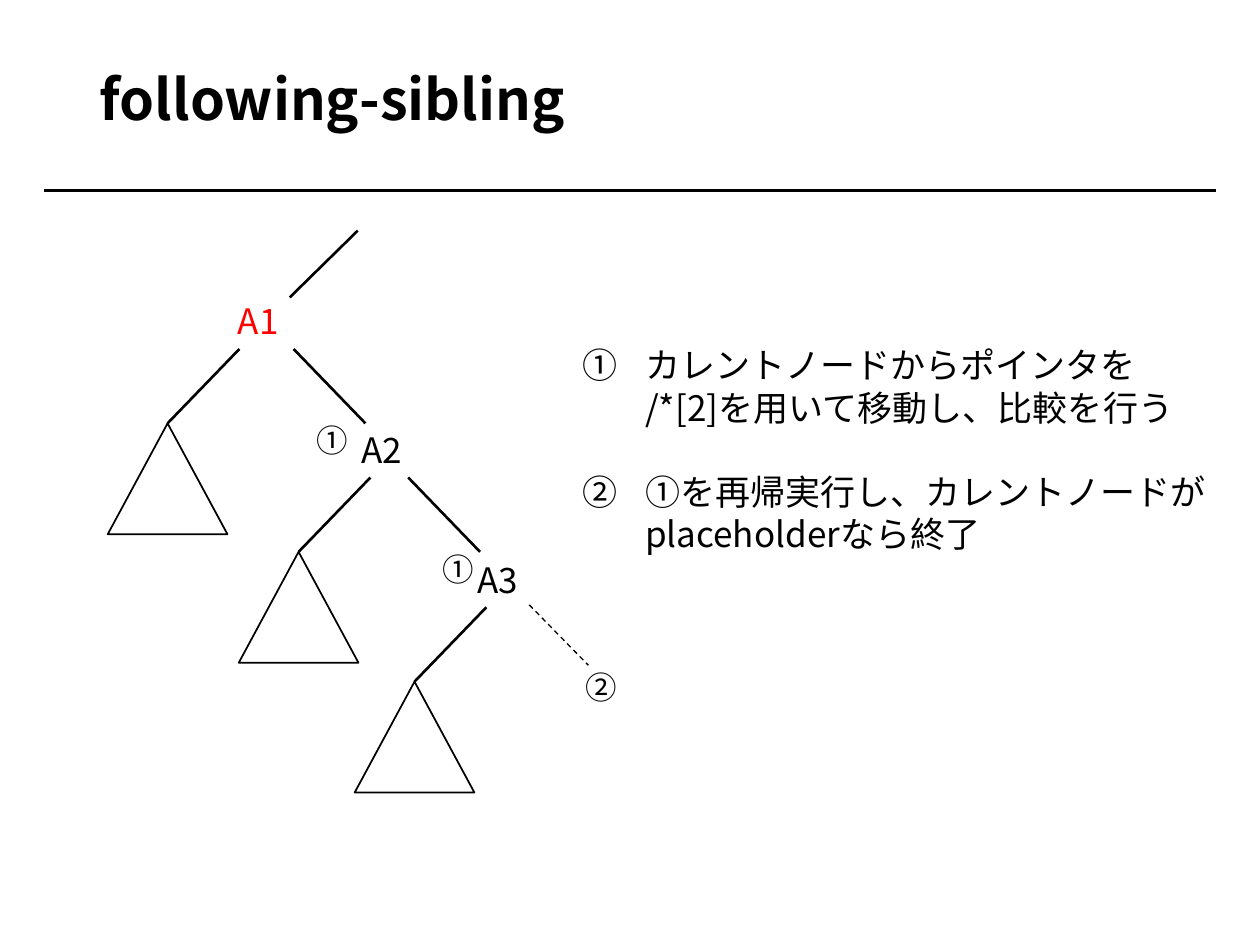
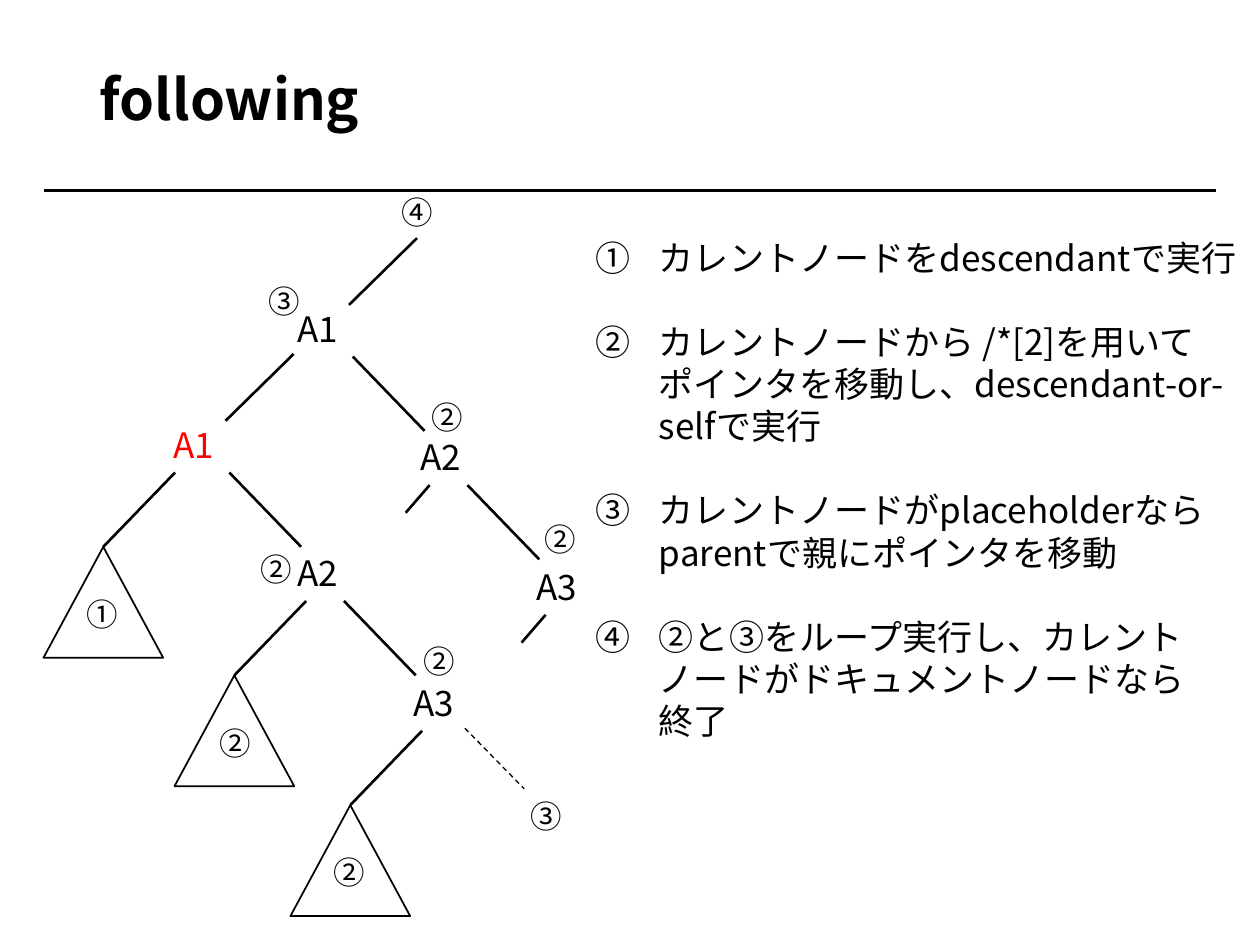
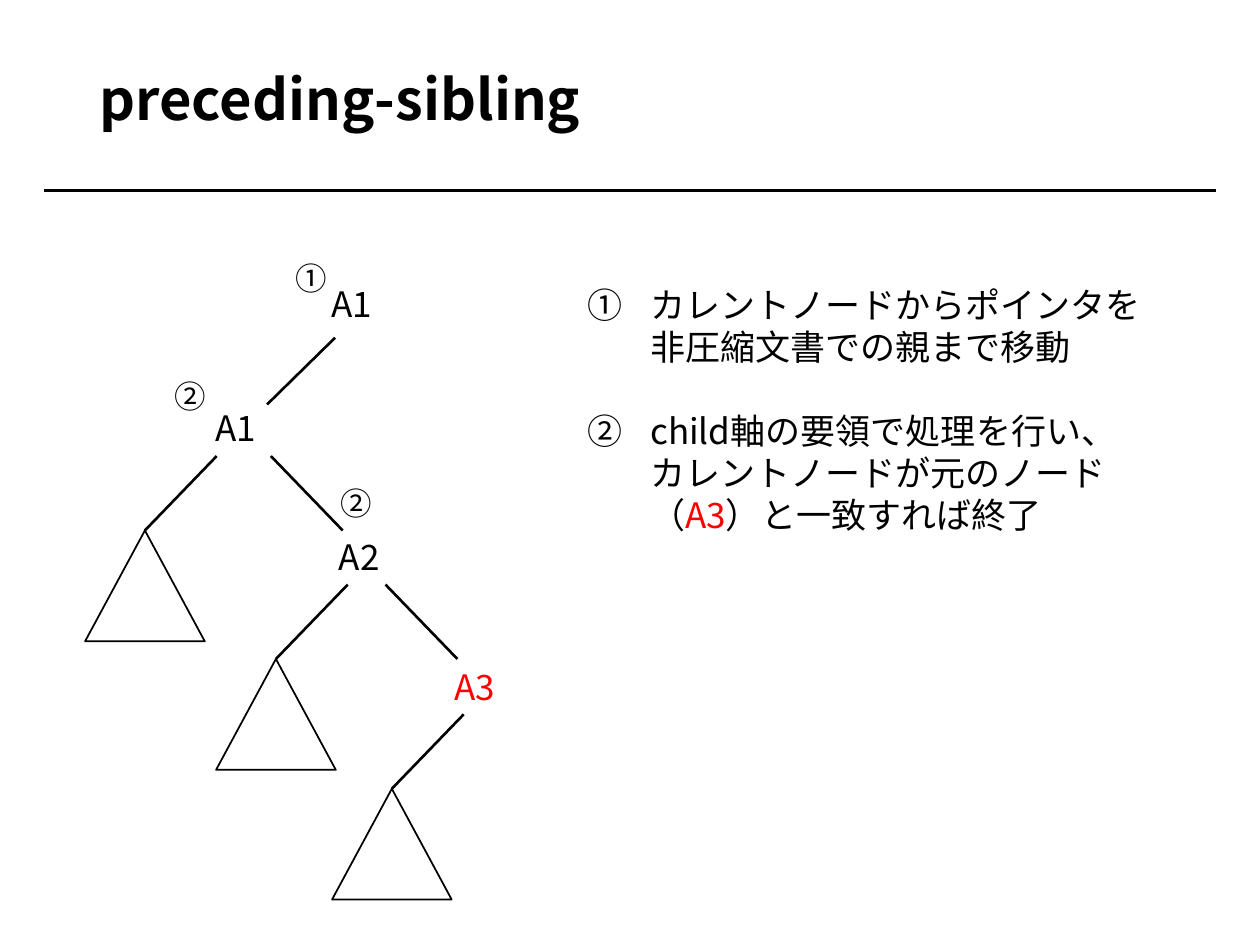
from copy import deepcopy
from dataclasses import dataclass

from lxml import etree
from pptx import Presentation
from pptx.dml.color import RGBColor
from pptx.enum import dml, shapes, text
from pptx.oxml.ns import qn
from pptx.util import Inches, Pt


@dataclass(frozen=True)
class Theme:
    font: str = "Noto Sans CJK JP"
    ink: RGBColor = RGBColor(0, 0, 0)
    current: RGBColor = RGBColor(255, 0, 0)
    paper: RGBColor = RGBColor(255, 255, 255)
    title: int = 32
    body: int = 20
    step: int = 18
    leading: float = 1.2
    branch: float = 1.5
    outline: float = 1
    dashed: float = 0.75


THEME = Theme()

# Node name: offset from A1, then where its left and right branches start
NODES = {
    "A1": (0, 0, 0.11, 0.54),
    "A2": (0.98, 1.02, 0.17, 0.47),
    "A3": (1.9, 2.05, 0.17, None),
}
BRANCH_TOP = 0.44
BRANCH_WIDTH, BRANCH_HEIGHT = 0.57, 0.59
STUB_WIDTH, STUB_HEIGHT = 0.19, 0.22
SUBTREE_WIDTH, SUBTREE_HEIGHT = 0.95, 0.88


def add_run(paragraph, words, size, color=THEME.ink, bold=False):
    """Add words to the paragraph, with a line break at each newline."""
    for index, line in enumerate(words.split("\n")):
        if index:
            paragraph.add_line_break()
        run = paragraph.add_run()
        run.text = line
        font = run.font
        font.name, font.size, font.bold = THEME.font, Pt(size), bold
        font.color.rgb = color
        properties = run._r.get_or_add_rPr()
        etree.SubElement(properties, qn("a:ea"), typeface=THEME.font)
        if index:
            run._r.getprevious().append(deepcopy(properties))


def set_leading(paragraph, size):
    paragraph.line_spacing = Pt(size * THEME.leading)
    paragraph.space_before = Pt(0)


def place(shape, left, top, width, height):
    shape.left, shape.top = Inches(left), Inches(top)
    shape.width, shape.height = Inches(width), Inches(height)


def add_line(slide, start, end, weight=THEME.branch, dashed=False):
    points = [Inches(value) for value in (*start, *end)]
    line = slide.shapes.add_connector(shapes.MSO_CONNECTOR.STRAIGHT, *points)
    line.line.color.rgb = THEME.ink
    line.line.width = Pt(weight)
    if dashed:
        line.line.dash_style = dml.MSO_LINE.DASH
    etree.SubElement(line.element.spPr, qn("a:effectLst"))
    return line


def add_label(slide, words, left, top, width, height, size, color=THEME.ink):
    box = slide.shapes.add_textbox(*map(Inches, (left, top, width, height)))
    frame = box.text_frame
    frame.word_wrap = True
    frame.margin_right = 0
    set_leading(frame.paragraphs[0], size)
    add_run(frame.paragraphs[0], words, size, color)


def add_node(slide, name, left, top, current=None):
    color = THEME.current if name == current else THEME.ink
    add_label(slide, name, left, top, 0.6, 0.44, THEME.body, color)


def add_step_marks(slide, marks):
    for mark, left, top in marks:
        add_label(slide, mark, left, top, 0.45, 0.4, THEME.step)


def add_subtree(slide, apex_x, apex_y):
    triangle = slide.shapes.add_shape(
        shapes.MSO_SHAPE.ISOSCELES_TRIANGLE,
        Inches(apex_x - SUBTREE_WIDTH / 2), Inches(apex_y),
        Inches(SUBTREE_WIDTH), Inches(SUBTREE_HEIGHT))
    triangle.shadow.inherit = False
    triangle.fill.solid()
    triangle.fill.fore_color.rgb = THEME.paper
    triangle.line.color.rgb = THEME.ink
    triangle.line.width = Pt(THEME.outline)


def add_tree(slide, left, top, current=None, stubs=False):
    """Draw the A1-A2-A3 chain; with stubs, left branches are cut short."""
    add_line(slide, (left + 0.51, top + 0.03), (left + 1.05, top - 0.5))
    for name, (dx, dy, left_start, right_start) in NODES.items():
        x, y = left + dx, top + dy
        add_node(slide, name, x, y, current)
        start_y = y + BRANCH_TOP
        end_y = start_y + BRANCH_HEIGHT
        if right_start is not None:
            start_x = x + right_start
            add_line(slide, (start_x, start_y), (start_x + BRANCH_WIDTH, end_y))
        start_x = x + left_start
        if not stubs:
            apex_x = start_x - BRANCH_WIDTH
            add_line(slide, (start_x, start_y), (apex_x, end_y))
            add_subtree(slide, apex_x, end_y)
        elif name != "A1":
            add_line(slide, (start_x, start_y),
                     (start_x - STUB_WIDTH, start_y + STUB_HEIGHT))


def add_placeholder_branch(slide, tree_left, tree_top):
    """Draw the dashed branch that leaves A3 towards the end of the chain."""
    x, y = tree_left + NODES["A3"][0] + 0.51, tree_top + NODES["A3"][1] + 0.42
    add_line(slide, (x, y), (x + 0.47, y + 0.48), THEME.dashed, dashed=True)


def add_steps(slide, steps, left, top, width, height):
    """Fill the body with numbered steps, each a list of (words, color) runs."""
    body = slide.placeholders[1]
    place(body, left, top, width, height)
    frame = body.text_frame
    frame.auto_size = text.MSO_AUTO_SIZE.NONE
    frame.word_wrap = True
    frame.margin_right = 0
    for index, runs in enumerate(steps):
        paragraph = frame.add_paragraph() if index else frame.paragraphs[0]
        set_leading(paragraph, THEME.body)
        paragraph.space_after = Pt(THEME.body * THEME.leading)
        properties = paragraph._p.get_or_add_pPr()
        properties.set("marL", str(Inches(0.5)))
        properties.set("indent", str(Inches(-0.5)))
        etree.SubElement(properties, qn("a:buFont"), typeface=THEME.font)
        etree.SubElement(properties, qn("a:buAutoNum"), type="circleNumDbPlain")
        for words, color in runs:
            add_run(paragraph, words, THEME.body, color)


def plain(*steps):
    return [[(words, THEME.ink)] for words in steps]


def add_axis_slide(deck, layout, axis):
    slide = deck.slides.add_slide(layout)
    frame = slide.shapes.title.text_frame
    frame.vertical_anchor = text.MSO_ANCHOR.MIDDLE
    heading = frame.paragraphs[0]
    heading.alignment = text.PP_ALIGN.LEFT
    heading.line_spacing = 0.9
    add_run(heading, axis, THEME.title, bold=True)
    return slide


def add_layout_rule(layout, slide):
    """Draw the rule under the title and move it to the shared layout."""
    rule = add_line(slide, (0.35, 1.51), (9.65, 1.51))
    rule.element.nvCxnSpPr.cNvPr.set("id", "20")
    layout.shapes.element.append(rule.element)


def fill_following_sibling(slide):
    tree = (1.79, 2.33)
    add_tree(slide, *tree, current="A1")
    add_placeholder_branch(slide, *tree)
    add_steps(slide, plain(
        "カレントノードからポインタを\n/*[2]を用いて移動し、比較を行う",
        "①を再帰実行し、カレントノードが\nplaceholderなら終了",
    ), 4.52, 2.68, 5.19, 2.12)
    add_step_marks(slide, [
        ("①", 2.41, 3.29), ("①", 3.41, 4.32), ("②", 4.55, 5.25)])


def fill_following(slide):
    tree = (1.28, 3.31)
    add_tree(slide, *tree, current="A1")
    add_placeholder_branch(slide, *tree)
    add_tree(slide, 2.26, 2.39, stubs=True)
    add_steps(slide, plain(
        "カレントノードをdescendantで実行",
        "カレントノードから /*[2]を用いて\n"
        "ポインタを移動し、descendant-or-\nselfで実行",
        "カレントノードがplaceholderなら\nparentで親にポインタを移動",
        "②と③をループ実行し、カレント\n"
        "ノードがドキュメントノードなら\n終了",
    ), 4.63, 1.83, 5.37, 4.48)
    add_step_marks(slide, [
        ("①", 0.59, 4.67), ("②", 1.97, 4.32), ("②", 1.64, 5.7),
        ("②", 3.26, 5.05), ("②", 2.55, 6.72), ("③", 2.03, 2.19),
        ("②", 3.33, 3.11), ("②", 4.22, 4.08), ("④", 3.09, 1.48),
        ("③", 4.11, 6.28)])


def fill_preceding_sibling(slide):
    add_tree(slide, 1.61, 3.18, current="A3")
    add_node(slide, "A1", 2.53, 2.19)
    parent_step, child_step = plain(
        "カレントノードからポインタを\n非圧縮文書での親まで移動",
        "child軸の要領で処理を行い、\nカレントノードが元のノード\n（")
    child_step += [("A3", THEME.current), ("）と一致すれば終了", THEME.ink)]
    add_steps(slide, [parent_step, child_step], 4.56, 2.2, 4.63, 2.46)
    add_step_marks(slide, [
        ("①", 2.25, 2.01), ("②", 1.29, 2.94), ("②", 2.6, 3.79)])


def main():
    deck = Presentation()
    deck.slide_width, deck.slide_height = Inches(10), Inches(7.5)
    layout = deck.slide_layouts[1]
    place(layout.placeholders[0], 0.69, 0.3, 8.62, 1.02)

    axes = {
        "following-sibling": fill_following_sibling,
        "following": fill_following,
        "preceding-sibling": fill_preceding_sibling,
    }
    for axis, fill_slide in axes.items():
        slide = add_axis_slide(deck, layout, axis)
        fill_slide(slide)
    add_layout_rule(layout, slide)
    deck.save("out.pptx")


if __name__ == "__main__":
    main()
